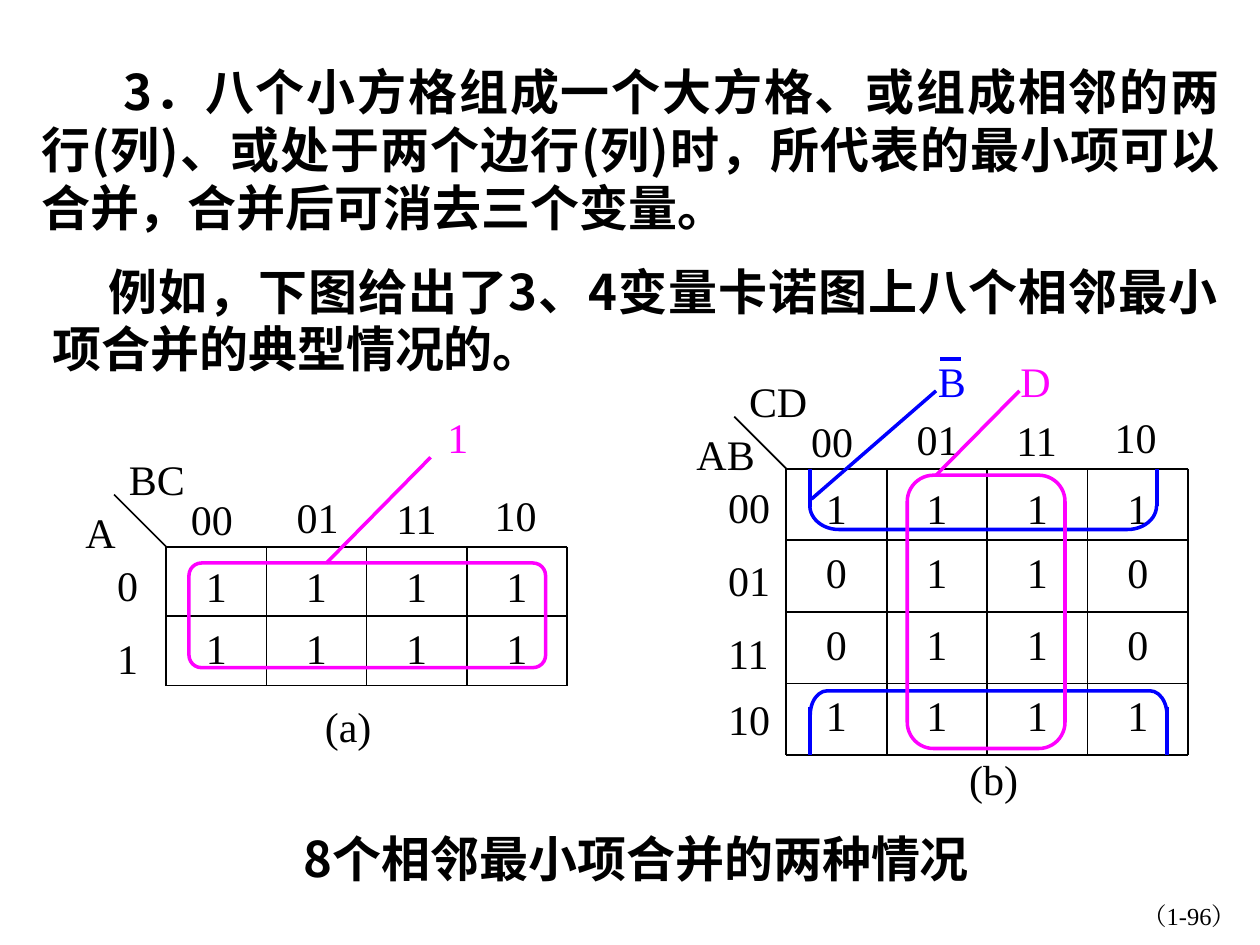
from lxml import etree
from pptx import Presentation
from pptx import util as u
from pptx.dml.color import RGBColor
from pptx.enum import shapes, text
from pptx.oxml.ns import qn

BLACK = RGBColor(0x00, 0x00, 0x00)
BLUE = RGBColor(0x00, 0x00, 0xFF)
MAGENTA = RGBColor(0xFF, 0x00, 0xFF)
SERIF = "Times New Roman"
SANS = "Noto Sans CJK SC"
LEFT, CENTER = text.PP_ALIGN.LEFT, text.PP_ALIGN.CENTER
RIGHT, JUSTIFY = text.PP_ALIGN.RIGHT, text.PP_ALIGN.JUSTIFY
GRAY_CODE = ("00", "01", "11", "10")
COLUMN_LABEL_LEFTS = (0.25, 2.38, 4.39, 6.37)
COLUMN_LABEL_TOPS = (-1.2, -1.24, -1.22, -1.28)
ROW_LABEL_TOPS = (0.13, 1.6, 3.07, 4.4)


def add_text(slide, content, left, top, width, height=1.27, *, size=24, font=SERIF,
             color=BLACK, bold=False, align=LEFT, wrap=True, indent=0,
             line_points=None):
    """Add a one-paragraph text box, with lengths in centimetres."""
    shape = slide.shapes.add_textbox(u.Cm(left), u.Cm(top), u.Cm(width), u.Cm(height))
    frame = shape.text_frame
    frame.word_wrap = wrap
    paragraph = frame.paragraphs[0]
    paragraph.alignment = align
    if indent:
        paragraph._p.get_or_add_pPr().set("indent", str(u.Cm(indent)))
    if line_points:
        paragraph.line_spacing = u.Pt(line_points)
    run = paragraph.add_run()
    run.text = content
    run.font.size = u.Pt(size)
    run.font.bold = bold
    run.font.color.rgb = color
    run.font.name = font
    etree.SubElement(run._r.get_or_add_rPr(), qn("a:ea")).set("typeface", font)


def add_heading(slide, content, left, top, width, height, **options):
    """Add bold sans-serif text with fixed line spacing."""
    add_text(slide, content, left, top, width, height, size=28, font=SANS, bold=True,
             line_points=33, **options)


def add_line(slide, x1, y1, x2, y2, color=BLACK, points=1):
    """Add a straight line without a shadow."""
    line = slide.shapes.add_connector(shapes.MSO_CONNECTOR.STRAIGHT,
                                      u.Cm(x1), u.Cm(y1), u.Cm(x2), u.Cm(y2))
    line.line.color.rgb = color
    line.line.width = u.Pt(points)
    etree.SubElement(line._element.spPr, qn("a:effectLst"))


def add_outline(slide, kind, left, top, width, height, color, adjustment=None, rotation=0):
    """Add an unfilled shape that marks a group of cells."""
    shape = slide.shapes.add_shape(kind, u.Cm(left), u.Cm(top), u.Cm(width), u.Cm(height))
    shape.shadow.inherit = False
    shape.fill.background()
    shape.line.color.rgb = color
    shape.line.width = u.Pt(2)
    shape.rotation = rotation
    if adjustment is not None:
        shape.adjustments[0] = adjustment


def add_karnaugh_map(slide, left, top, width, height, rows, row_variable, column_variable,
                     row_labels, row_variable_left, row_label_left):
    """Draw a Karnaugh map whose grid fills the given box."""
    column_width = width / len(rows[0])
    row_height = height / len(rows)
    for r, row in enumerate(rows):
        cell_top = top + (r * row_height or 0.15)
        for c, value in enumerate(row):
            add_text(slide, value, left + c * column_width, cell_top,
                     column_width, row_height, align=CENTER)
    for r in range(len(rows) + 1):
        y = top + r * row_height
        add_line(slide, left, y, left + width, y)
    for c in range(len(rows[0]) + 1):
        x = left + c * column_width
        add_line(slide, x, top, x, top + height)
    add_line(slide, left - 1.05, top - 1.05, left, top)
    for label, x, y in zip(GRAY_CODE, COLUMN_LABEL_LEFTS, COLUMN_LABEL_TOPS):
        add_text(slide, label, left + x, top + y, 1.35, wrap=False)
    for label, y in zip(row_labels, ROW_LABEL_TOPS):
        add_text(slide, label, left + row_label_left, top + y, 1.6)
    add_text(slide, column_variable, left - 1, top - 2.01, 2)
    add_text(slide, row_variable, left + row_variable_left, top - 0.94, 1.9)


def add_three_variable_map(slide, left, top):
    """Draw map (a) with all eight cells grouped."""
    add_karnaugh_map(slide, left, top, 8.08, 2.8, ("1111", "1111"),
                     "A", "BC", ("0", "1"), -1.88, -1.24)
    add_outline(slide, shapes.MSO_SHAPE.ROUNDED_RECTANGLE, left + 0.46, top + 0.33,
                7.19, 2.11, MAGENTA, 0.12)
    add_line(slide, left + 3.23, top + 0.33, left + 5.33, top - 1.8, MAGENTA, 2)
    add_text(slide, "1", left + 5.41, top - 2.84, 0.94, color=MAGENTA,
             align=CENTER, wrap=False)
    add_text(slide, "(a)", left + 2.95, top + 2.97, 1.45, wrap=False)


def add_four_variable_map(slide, left, top):
    """Draw map (b) with the edge rows and the middle columns grouped."""
    height = 5.77
    add_karnaugh_map(slide, left, top, 8.1, height, ("1111", "0110", "0110", "1111"),
                     "AB", "CD", GRAY_CODE, -2.06, -1.42)
    bracket = shapes.MSO_SHAPE.RIGHT_BRACKET
    add_outline(slide, bracket, left + 3.84, top + 1.12, 0.48, 7.19, BLUE, 0.72, 270)
    add_outline(slide, bracket, left + 3.73, top - 2.51, 0.48, 6.99, BLUE, 1.22, 90)
    for x, y1, y2 in ((0.48, 4.8, height), (7.67, 4.8, height),
                      (0.48, 0, 0.78), (7.47, 0, 0.76)):
        add_line(slide, left + x, top + y1, left + x, top + y2, BLUE, 2)
    add_line(slide, left + 0.51, top + 0.61, left + 3.02, top - 1.57, BLUE, 2)
    add_line(slide, left + 3.1, top - 2.21, left + 3.53, top - 2.21, BLUE, 2)
    add_outline(slide, shapes.MSO_SHAPE.FLOWCHART_ALTERNATE_PROCESS, left + 2.44,
                top + 0.13, 3.18, 5.51, MAGENTA)
    add_line(slide, left + 3.02, top + 0.13, left + 4.7, top - 1.57, MAGENTA, 2)
    for label, x, color in (("B", 2.79, BLUE), ("D", 4.47, MAGENTA)):
        add_text(slide, label, left + x, top - 2.41, 1.1, color=color,
                 align=CENTER, wrap=False)
    add_text(slide, "(b)", left + 3.43, top + 5.61, 1.5, align=CENTER, wrap=False)


def add_explanation(slide, left, top):
    """Place the rule and the introduction to the example."""
    add_heading(slide, "3．八个小方格组成一个大方格、或组成相邻的两行(列)、或处于两个边行(列)时，"
                "所代表的最小项可以合并，合并后可消去三个变量。",
                left, top, 24.26, 3.81, align=JUSTIFY, indent=1.66)
    add_heading(slide, "例如，下图给出了3、4变量卡诺图上八个相邻最小项合并的典型情况的。",
                left + 0.23, top + 4.02, 24, 2.62, align=JUSTIFY, indent=1.12)


def main():
    """Build and save the slide."""
    presentation = Presentation()
    presentation.slide_width = u.Cm(25.4)
    presentation.slide_height = u.Cm(19.05)
    slide = presentation.slides.add_slide(presentation.slide_layouts[6])
    add_text(slide, "（1-96）", 19.89, 18.03, 5.28, size=14, align=RIGHT)
    add_explanation(slide, 0.58, 1.14)
    add_heading(slide, "8个相邻最小项合并的两种情况", 4.27, 16.59, 17.12, 1.45, align=CENTER)
    add_four_variable_map(slide, 15.85, 9.45)
    add_three_variable_map(slide, 3.35, 11.02)
    presentation.save("out.pptx")


if __name__ == "__main__":
    main()
